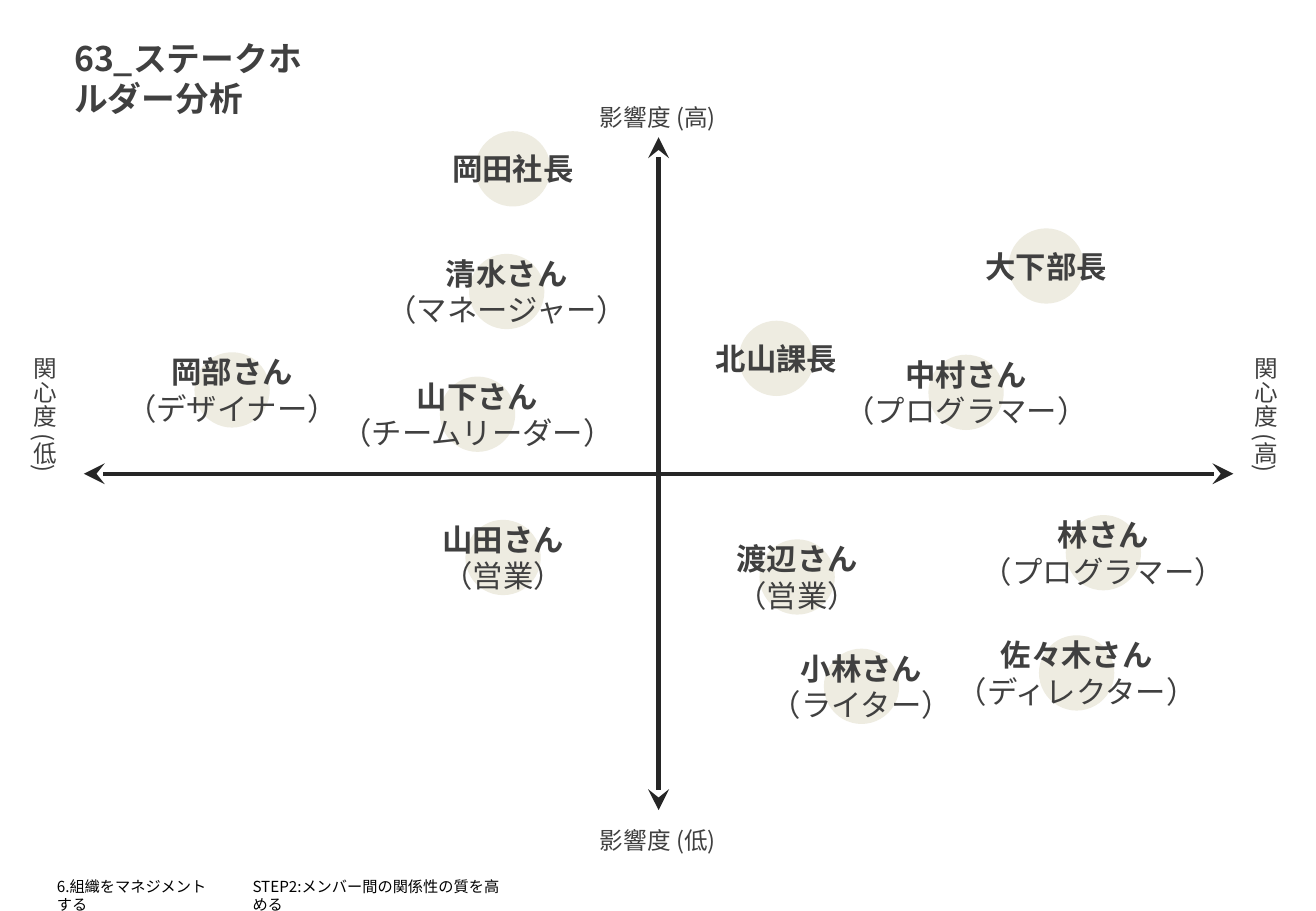
"""Build the stakeholder analysis slide, an influence and interest map of a team."""
from dataclasses import dataclass

from lxml import etree
from pptx import Presentation
from pptx.dml.color import RGBColor
from pptx.enum.shapes import MSO_CONNECTOR, MSO_SHAPE
from pptx.enum.text import MSO_ANCHOR, MSO_AUTO_SIZE, PP_ALIGN
from pptx.oxml.ns import qn
from pptx.shapes.base import BaseShape
from pptx.slide import Slide
from pptx.util import Inches, Pt

STRAIGHT = MSO_CONNECTOR.STRAIGHT
OVAL = MSO_SHAPE.OVAL
TOP, MIDDLE = MSO_ANCHOR.TOP, MSO_ANCHOR.MIDDLE
GROW = MSO_AUTO_SIZE.SHAPE_TO_FIT_TEXT
LEFT, CENTER = PP_ALIGN.LEFT, PP_ALIGN.CENTER


@dataclass(frozen=True)
class Theme:
    font: str = "Noto Sans CJK JP"
    ink: str = "404040"
    axis: str = "262626"
    spot: str = "EEECE1"
    footer: str = "000000"
    title_size: int = 20
    name_size: int = 18
    axis_size: int = 14
    footer_size: int = 9
    axis_width: float = 2.5


@dataclass(frozen=True)
class Style:
    size: int
    color: str
    bold: bool = False
    align: PP_ALIGN = LEFT
    anchor: MSO_ANCHOR = TOP
    wrap: bool = True
    spacing: float = 1.0


@dataclass(frozen=True)
class Stakeholder:
    x: float
    y: float
    name: str
    role: str = ""


@dataclass(frozen=True)
class Label:
    left: float
    top: float
    width: float
    height: float
    text: str
    vertical: bool = False


@dataclass(frozen=True)
class Axis:
    x1: float
    y1: float
    x2: float
    y2: float


THEME = Theme()
TITLE_STYLE = Style(THEME.title_size, THEME.ink, bold=True)
NAME_STYLE = Style(THEME.name_size, THEME.ink, bold=True, align=CENTER, anchor=MIDDLE, wrap=False)
AXIS_STYLE = Style(THEME.axis_size, THEME.ink, align=CENTER, anchor=MIDDLE, spacing=1.2)
FOOTER_STYLE = Style(THEME.footer_size, THEME.footer)
SPOT_SIZE = 0.62
CHARACTER_WIDTH = 0.25
SIDE_MARGINS = 0.22

TITLE = Label(0.51, 0.26, 2.23, 0.3, "63_ステークホルダー分析")
AXES = [Axis(5.42, 1.13, 5.42, 6.67), Axis(0.69, 3.9, 10.15, 3.9)]
AXIS_LABELS = [
    Label(3.75, 0.75, 3.33, 0.38, "影響度 (高)"),
    Label(3.75, 6.7, 3.33, 0.38, "影響度 (低)"),
    Label(10.2, 2.84, 0.48, 2.13, "関心度 (高)", vertical=True),
    Label(0.15, 2.84, 0.48, 2.13, "関心度 (低)", vertical=True),
]
FOOTERS = [
    Label(0.37, 7.17, 1.5, 0.25, "6.組織をマネジメントする"),
    Label(1.98, 7.17, 2.3, 0.25, "STEP2:メンバー間の関係性の質を高める"),
]
STAKEHOLDERS = [
    Stakeholder(8.61, 2.19, "大下部長"),
    Stakeholder(4.22, 1.39, "岡田社長"),
    Stakeholder(6.39, 2.95, "北山課長"),
    Stakeholder(4.17, 2.4, "清水さん", "（マネージャー）"),
    Stakeholder(9.08, 4.55, "林さん", "（プログラマー）"),
    Stakeholder(7.95, 3.23, "中村さん", "（プログラマー）"),
    Stakeholder(1.91, 3.21, "岡部さん", "（デザイナー）"),
    Stakeholder(8.86, 5.54, "佐々木さん", "（ディレクター）"),
    Stakeholder(6.56, 4.75, "渡辺さん", "（営業）"),
    Stakeholder(3.93, 3.41, "山下さん", "（チームリーダー）"),
    Stakeholder(4.14, 4.59, "山田さん", "（営業）"),
    Stakeholder(7.09, 5.65, "小林さん", "（ライター）"),
]


def write_text(box: BaseShape, text: str, style: Style) -> None:
    """Fill a box with text, the first paragraph alone taking the bold setting."""
    frame = box.text_frame
    frame.text = text
    frame.word_wrap = style.wrap
    frame.auto_size = GROW
    frame.vertical_anchor = style.anchor
    for index, para in enumerate(frame.paragraphs):
        para.alignment = style.align
        para.line_spacing = style.spacing
        for span in para.runs:
            span.font.name = THEME.font
            span.font.size = Pt(style.size)
            span.font.bold = style.bold and index == 0
            span.font.color.rgb = RGBColor.from_string(style.color)
            east_asian = etree.SubElement(span.font._element, qn("a:ea"))
            east_asian.set("typeface", THEME.font)


def add_title(page: Slide, label: Label) -> None:
    """Place and format the title placeholder."""
    title = page.shapes.title
    title.left, title.top = Inches(label.left), Inches(label.top)
    title.width, title.height = Inches(label.width), Inches(label.height)
    write_text(title, label.text, TITLE_STYLE)


def add_label(page: Slide, label: Label, style: Style) -> None:
    """Add a text box, turned to vertical writing where asked."""
    box = page.shapes.add_textbox(
        Inches(label.left), Inches(label.top), Inches(label.width), Inches(label.height)
    )
    write_text(box, label.text, style)
    if label.vertical:
        box.text_frame._txBody.bodyPr.set("vert", "eaVert")


def add_spot(page: Slide, person: Stakeholder) -> None:
    """Add the pale circle that marks a stakeholder's position."""
    spot = page.shapes.add_shape(
        OVAL,
        Inches(person.x - SPOT_SIZE / 2),
        Inches(person.y - SPOT_SIZE / 2),
        Inches(SPOT_SIZE),
        Inches(SPOT_SIZE),
    )
    spot.shadow.inherit = False
    spot.fill.solid()
    spot.fill.fore_color.rgb = RGBColor.from_string(THEME.spot)
    spot.line.fill.background()


def add_name(page: Slide, person: Stakeholder) -> None:
    """Add a stakeholder's name and role centred on the circle."""
    lines = [line for line in (person.name, person.role) if line]
    width = max(map(len, lines)) * CHARACTER_WIDTH + SIDE_MARGINS
    height = 0.4 if len(lines) == 1 else 0.71
    label = Label(person.x - width / 2, person.y - height / 2, width, height, "\n".join(lines))
    add_label(page, label, NAME_STYLE)


def add_axis(page: Slide, axis: Axis) -> None:
    """Add an axis line with an arrowhead at both ends."""
    line = page.shapes.add_connector(
        STRAIGHT, Inches(axis.x1), Inches(axis.y1), Inches(axis.x2), Inches(axis.y2)
    )
    line.line.color.rgb = RGBColor.from_string(THEME.axis)
    line.line.width = Pt(THEME.axis_width)
    outline = line.line._get_or_add_ln()
    for end in ("a:headEnd", "a:tailEnd"):
        etree.SubElement(outline, qn(end), type="stealth", w="lg", len="lg")
    etree.SubElement(line._element.spPr, qn("a:effectLst"))


def main() -> None:
    """Build and save the deck."""
    deck = Presentation()
    deck.slide_width, deck.slide_height = Inches(10.83), Inches(7.5)
    page = deck.slides.add_slide(deck.slide_layouts.get_by_name("Title Only"))
    for person in STAKEHOLDERS:
        add_spot(page, person)
    add_title(page, TITLE)
    for axis in AXES:
        add_axis(page, axis)
    for label in AXIS_LABELS:
        add_label(page, label, AXIS_STYLE)
    for person in STAKEHOLDERS:
        add_name(page, person)
    for label in FOOTERS:
        add_label(page, label, FOOTER_STYLE)
    deck.save("out.pptx")


if __name__ == "__main__":
    main()
